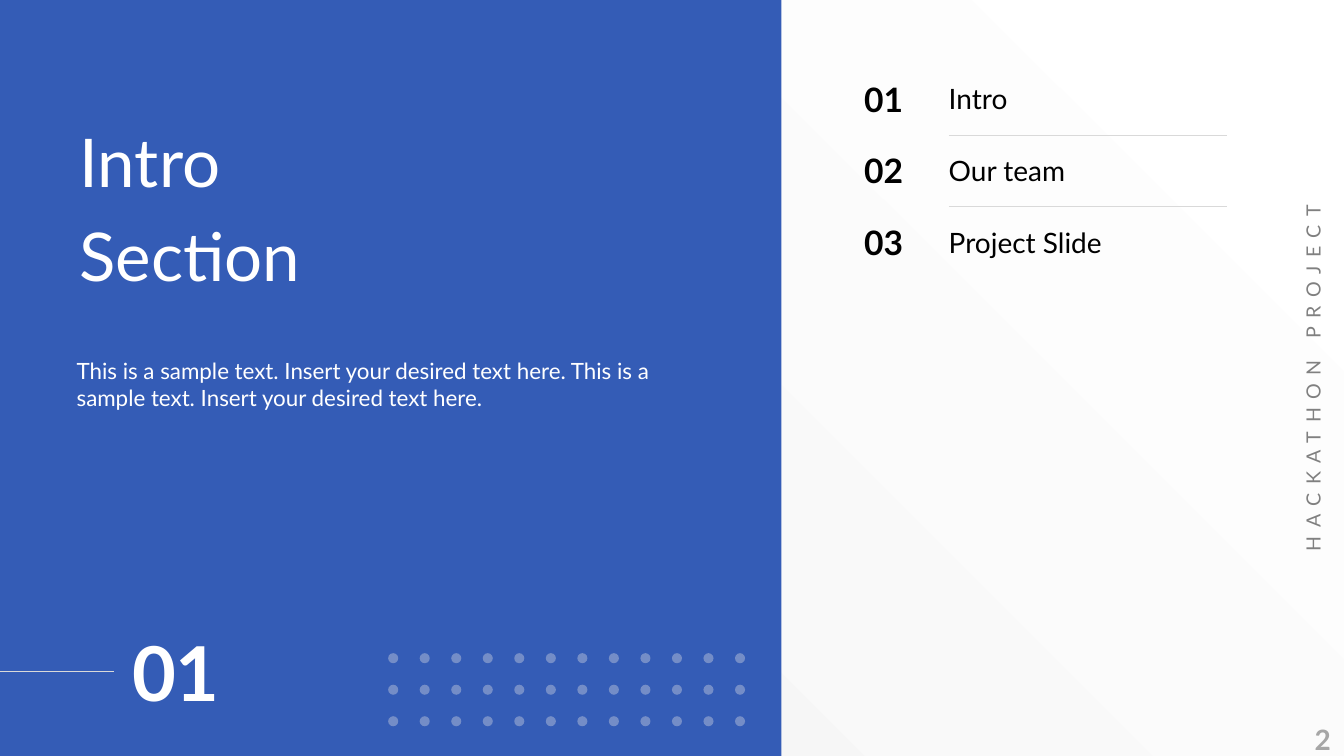
import pptx
import pptx.util
import pptx.dml.color
import pptx.enum.shapes
import pptx.enum.text
import pptx.oxml.ns
import lxml.etree

Inches = pptx.util.Inches
Pt = pptx.util.Pt
ALIGN = pptx.enum.text.PP_ALIGN
ANCHOR = pptx.enum.text.MSO_ANCHOR
SHAPE = pptx.enum.shapes.MSO_SHAPE
qn = pptx.oxml.ns.qn

BLUE, WHITE, BLACK = "345CB6", "FFFFFF", "000000"
RULE, DOT, GREY, PALE = "D9D9D9", "E6E6E6", "808080", "A6A6A6"
SAMPLE = ("This is a sample text. Insert your desired text here. "
          "This is a sample text. Insert your desired text here.")


def rgb(value):
    return pptx.dml.color.RGBColor.from_string(value)


def set_background(s):
    fill = s.background.fill
    fill.gradient()
    fill.gradient_angle = 225
    for stop, position, color in zip(fill.gradient_stops, (0.04, 1), (WHITE, "F2F2F2")):
        stop.position = position
        stop.color.rgb = rgb(color)


def add_filled(s, kind, x, y, w, h, color, alpha=None):
    sp = s.shapes.add_shape(kind, Inches(x), Inches(y), Inches(w), Inches(h))
    sp.shadow.inherit = False
    sp.fill.solid()
    sp.fill.fore_color.rgb = rgb(color)
    sp.line.fill.background()
    if alpha is not None:
        clr = sp._element.spPr.find(qn("a:solidFill"))[0]
        lxml.etree.SubElement(clr, qn("a:alpha"), val=str(alpha * 1000))


def add_rule(s, x1, x2, y):
    line = s.shapes.add_connector(pptx.enum.shapes.MSO_CONNECTOR.STRAIGHT,
                                  Inches(x1), Inches(y), Inches(x2), Inches(y))
    line.line.color.rgb = rgb(RULE)
    line.line.width = Pt(0.75)
    lxml.etree.SubElement(line._element.spPr, qn("a:effectLst"))


def write(sp, lines, size, color, bold=False, align=ALIGN.LEFT,
          anchor=ANCHOR.MIDDLE, inset=0.07, before=0, spacing=None):
    tf = sp.text_frame
    frame = {"word_wrap": True, "auto_size": pptx.enum.text.MSO_AUTO_SIZE.NONE,
             "vertical_anchor": anchor, "margin_left": 0, "margin_right": 0,
             "margin_top": Inches(inset), "margin_bottom": Inches(inset)}
    for name, value in frame.items():
        setattr(tf, name, value)
    font = {"name": "Lato", "size": Pt(size), "bold": bold}
    for i, text in enumerate(lines):
        p = tf.add_paragraph() if i else tf.paragraphs[0]
        p.alignment = align
        p.space_before = Pt(before if i else 0)
        r = p.add_run()
        r.text = text
        for name, value in font.items():
            setattr(r.font, name, value)
        r.font.color.rgb = rgb(color)
        if spacing:
            r._r.get_or_add_rPr().set("spc", str(spacing * 100))


def add_text(s, x, y, w, h, text, size, color, **options):
    sp = s.shapes.add_textbox(Inches(x), Inches(y), Inches(w), Inches(h))
    write(sp, [text], size, color, **options)
    return sp


def fill_placeholder(sp, x, y, w, h, lines, size, **options):
    box = {"left": x, "top": y, "width": w, "height": h}
    for name, value in box.items():
        setattr(sp, name, Inches(value))
    # Bring the placeholder in front of the blue panel
    sp._element.getparent().append(sp._element)
    write(sp, lines, size, WHITE, **options)


def remove_bullets(sp):
    for p in sp.text_frame.paragraphs:
        pPr = p._p.get_or_add_pPr()
        pPr.set("marL", "0")
        pPr.set("indent", "0")
        lxml.etree.SubElement(pPr, qn("a:buNone"))


def add_dots(s, rows=3, columns=12, pitch=3.44 / 11):
    for row in range(rows):
        for column in range(columns):
            add_filled(s, SHAPE.OVAL, 3.85 + column * pitch, 6.48 + row * pitch,
                       0.1, 0.1, DOT, alpha=36)


def add_agenda(s, topics, top=0.73, pitch=0.71):
    for i, topic in enumerate(topics):
        y = top + i * pitch
        add_text(s, 8.48, y, 0.57, 0.5, f"{i + 1:02}", 24, BLACK,
                 bold=True, align=ALIGN.CENTER, inset=0)
        add_text(s, 9.41, y, 2.76, 0.5, topic, 20, BLACK, inset=0)
        if i:
            add_rule(s, 9.41, 12.17, y - 0.1)


def main():
    prs = pptx.Presentation()
    prs.slide_width, prs.slide_height = Inches(13.33), Inches(7.5)
    s = prs.slides.add_slide(prs.slide_layouts[1])
    title, body = s.placeholders[0], s.placeholders[1]

    # Background and blue panel
    set_background(s)
    add_filled(s, SHAPE.RECTANGLE, 0, 0, 7.75, 7.5, BLUE)
    add_rule(s, -0.83, 1.13, 6.66)
    add_dots(s)

    # Section heading, description and number
    fill_placeholder(title, 0.79, 0.63, 6.1, 2.37, ["Intro", "Section"], 48,
                     anchor=ANCHOR.BOTTOM, before=9.6)
    fill_placeholder(body, 0.76, 3.47, 6.12, 1.14, [SAMPLE], 16, anchor=ANCHOR.TOP)
    remove_bullets(body)
    add_text(s, 1.31, 5.95, 1.65, 1.42, "01", 54, WHITE, bold=True)

    # Agenda
    add_agenda(s, ["Intro", "Our team", "Project Slide"])

    # Side label and slide number
    label = add_text(s, 10.91, 3.55, 4.22, 0.4, "HACKATHON PROJECT", 14, GREY,
                     align=ALIGN.CENTER, spacing=6)
    label.rotation = 270
    add_text(s, 9.92, 7.14, 3.28, 0.39, "2", 20, PALE, bold=True, align=ALIGN.RIGHT)

    prs.save("out.pptx")


if __name__ == "__main__":
    main()
